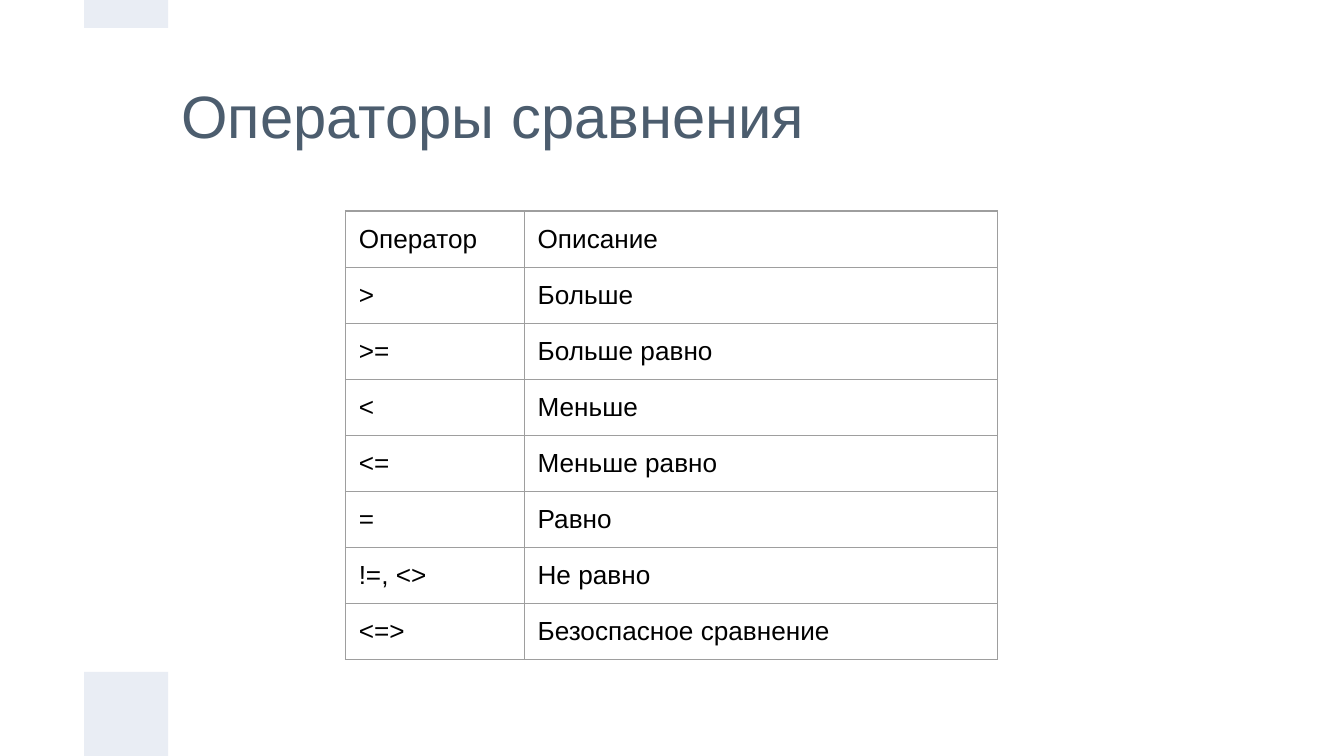
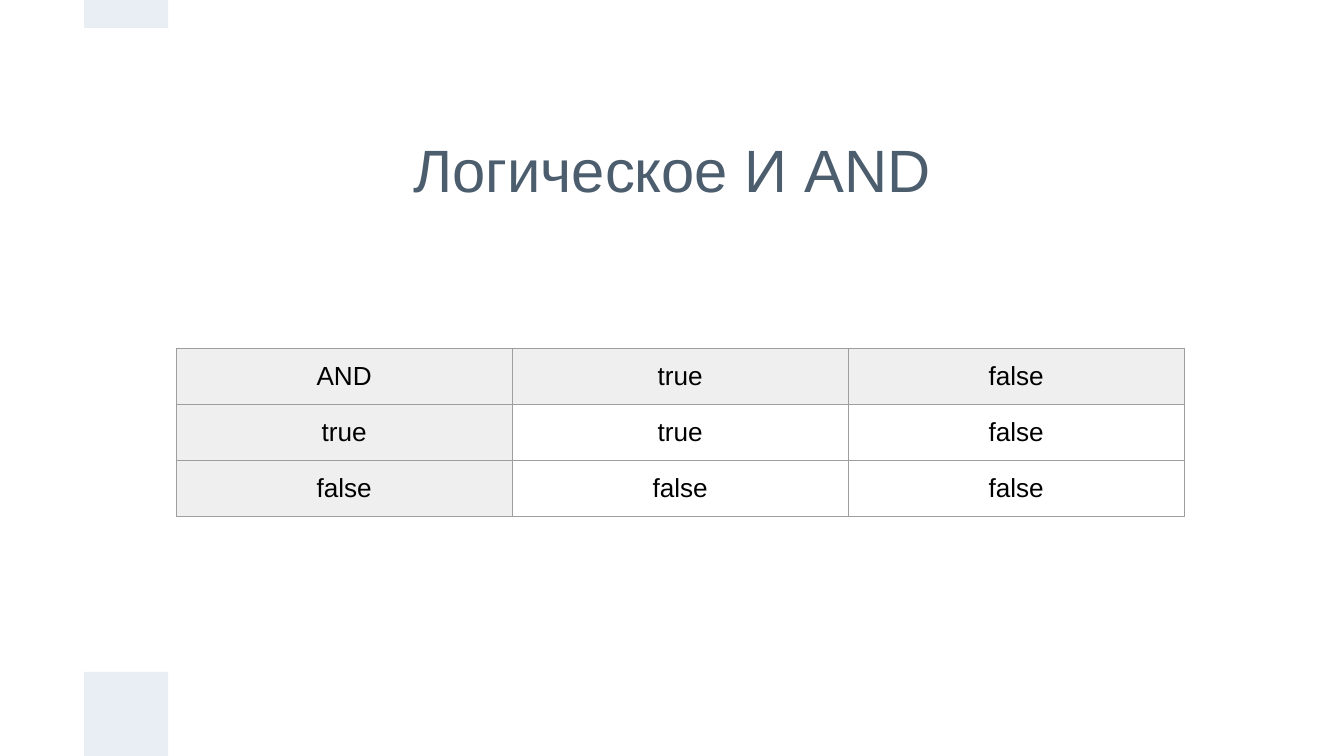
from typing import NamedTuple

from lxml import etree
from pptx import Presentation
from pptx.dml.color import RGBColor
from pptx.enum.shapes import MSO_SHAPE
from pptx.enum.text import MSO_ANCHOR, MSO_AUTO_SIZE, PP_ALIGN
from pptx.oxml.ns import qn
from pptx.util import Cm, Pt

RECT = MSO_SHAPE.RECTANGLE
MIDDLE, TOP = MSO_ANCHOR.MIDDLE, MSO_ANCHOR.TOP
LEFT, CENTER = PP_ALIGN.LEFT, PP_ALIGN.CENTER
NO_FIT = MSO_AUTO_SIZE.NONE

FONT = "Arial"
SLATE, BLACK = "4C5D6E", "000000"
PALE, GRAY, RULE = "E9EDF4", "EFEFEF", "9E9E9E"
WIDE, HIGH = 25.4, 14.29
UNIT = 1.59
INSET = Cm(0.25)
ROW = 1.06
TITLE_ONLY = 5


class Box(NamedTuple):
    """A place on the slide, in centimetres."""
    left: float
    top: float
    width: float
    height: float

    def emu(self) -> list:
        return [Cm(side) for side in self]


class Grid(NamedTuple):
    left: float
    top: float
    cols: list
    rows: list
    align: object = LEFT
    heads: bool = False  # shade the first row and column


class Page(NamedTuple):
    title: str
    place: Box
    align: object
    grid: Grid


BANDS = [
    Box(UNIT, HIGH - UNIT, UNIT, UNIT),
    Box(UNIT, 0, UNIT, 0.53),
]

PAGES = [
    Page("Операторы сравнения", Box(3.18, 1.17, 19.05, 2.01), LEFT, Grid(
        6.53, 3.99, [3.38, 8.94], [
            ("Оператор", "Описание"),
            (">", "Больше"),
            (">=", "Больше равно"),
            ("<", "Меньше"),
            ("<=", "Меньше равно"),
            ("=", "Равно"),
            ("!=, <>", "Не равно"),
            ("<=>", "Безоспасное сравнение"),
        ])),
    Page("Логическое И AND", Box(3.18, UNIT, 19.05, 2 * UNIT), CENTER, Grid(
        3.33, 6.58, [6.35] * 3, [
            ("AND", "true", "false"),
            ("true", "true", "false"),
            ("false", "false", "false"),
        ], CENTER, True)),
]


def color(code: str) -> RGBColor:
    return RGBColor.from_string(code)


def write(frame, text: str, *, size: float, ink: str, align=LEFT) -> None:
    frame.text = text
    para = frame.paragraphs[0]
    para.alignment = align
    font = para.runs[0].font
    font.name, font.size = FONT, Pt(size)
    font.color.rgb = color(ink)


def pad(item) -> None:
    """Give a text frame or a cell equal margins."""
    item.margin_left = item.margin_right = INSET
    item.margin_top = item.margin_bottom = INSET


def band(slide, box: Box) -> None:
    shape = slide.shapes.add_shape(RECT, *box.emu())
    shape.shadow.inherit = False
    shape.fill.solid()
    shape.fill.fore_color.rgb = color(PALE)
    shape.line.fill.background()


def head(slide, page: Page) -> None:
    title = slide.shapes.title
    title.left, title.top, title.width, title.height = page.place.emu()
    frame = title.text_frame
    frame.word_wrap = True
    frame.auto_size = NO_FIT
    frame.vertical_anchor = MIDDLE
    pad(frame)
    write(frame, page.title, size=32, ink=SLATE, align=page.align)


def border(cell) -> None:
    props = cell._tc.get_or_add_tcPr()
    for side in ("a:lnL", "a:lnR", "a:lnT", "a:lnB"):
        line = etree.SubElement(props, qn(side), w=str(Pt(0.75)))
        fill = etree.SubElement(line, qn("a:solidFill"))
        etree.SubElement(fill, qn("a:srgbClr"), val=RULE)


def table(slide, grid: Grid) -> None:
    count = len(grid.rows)
    box = Box(grid.left, grid.top, sum(grid.cols), ROW * count)
    body = slide.shapes.add_table(count, len(grid.cols), *box.emu()).table
    body.first_row = body.horz_banding = False
    for col, width in zip(body.columns, grid.cols):
        col.width = Cm(width)
    for r, words in enumerate(grid.rows):
        body.rows[r].height = Cm(ROW)
        for c, word in enumerate(words):
            cell = body.cell(r, c)
            pad(cell)
            cell.vertical_anchor = TOP
            write(cell.text_frame, word, size=14, ink=BLACK, align=grid.align)
            border(cell)
            if grid.heads and 0 in (r, c):
                cell.fill.solid()
                cell.fill.fore_color.rgb = color(GRAY)
            else:
                cell.fill.background()


def main() -> None:
    deck = Presentation()
    deck.slide_width, deck.slide_height = Cm(WIDE), Cm(HIGH)
    for page in PAGES:
        slide = deck.slides.add_slide(deck.slide_layouts[TITLE_ONLY])
        head(slide, page)
        for box in BANDS:
            band(slide, box)
        table(slide, page.grid)
    deck.save("out.pptx")


if __name__ == "__main__":
    main()
